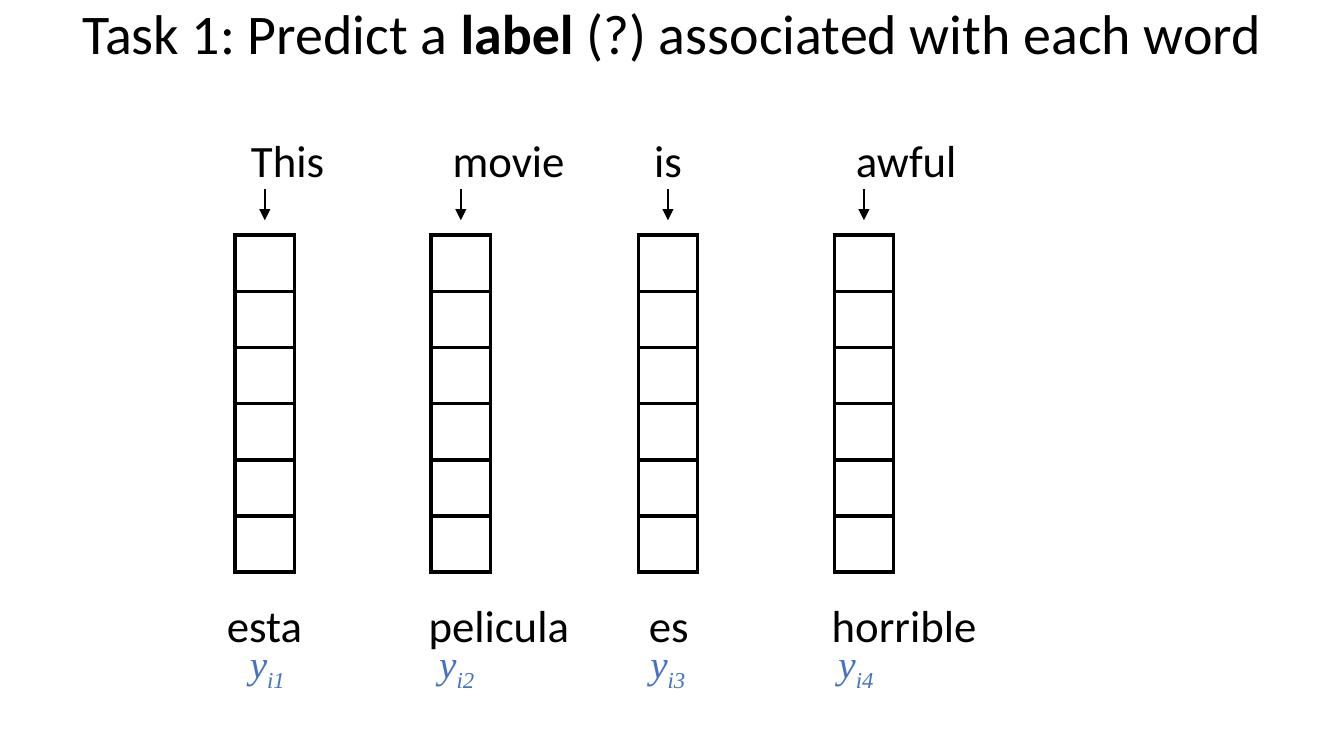
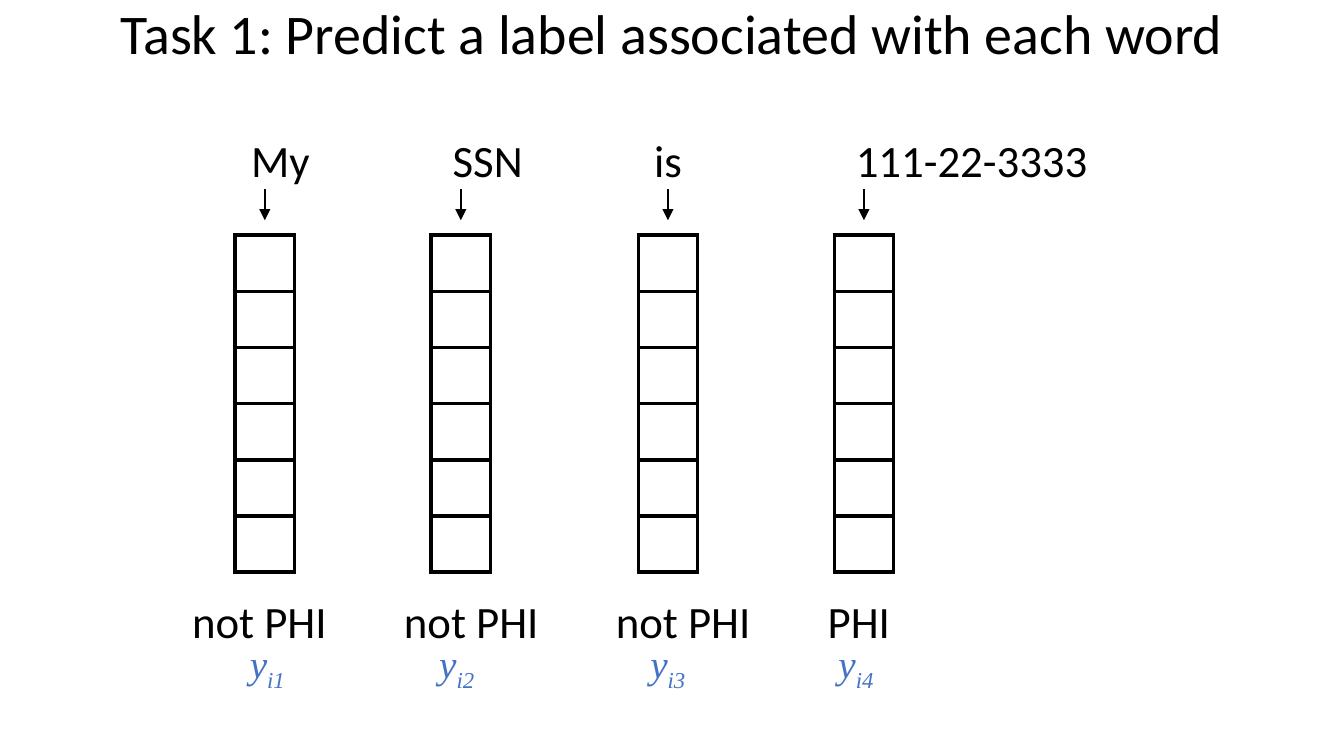
from lxml.etree import SubElement
from pptx import Presentation
from pptx.dml.color import RGBColor
from pptx.enum.shapes import MSO_CONNECTOR
from pptx.enum.text import PP_ALIGN
from pptx.oxml.ns import qn
from pptx.util import Pt

BLACK = RGBColor(0, 0, 0)
BLUE = RGBColor(0x44, 0x72, 0xC4)
BODY, MATH = "Calibri", "Times New Roman"

# Shared places, in points
COLS = [126, 231, 342, 447]
LABELS = [126.7, 228.2, 341.3, 442.1]
WIDE, HIGH, ROWS = 31.7, 30.1, 6
EVEN = [108, 216, 324]

# Title runs (text, bold), then rows of words: left, top, width, tab stops, words
SLIDES = [
    ([("Task 1: Predict a ", False), ("label ", True),
      ("(?) associated with each word", False)],
     [(127.4, 67.7, 396, EVEN, ["This", "movie", "is", "awful"]),
      (114.5, 316.8, 420, [108, 226, 324], ["esta", "pelicula", "es", "horrible"])]),
    ([("Task 1: Predict a label associated with each word", False)],
     [(127.4, 67.7, 467, EVEN, ["My", "SSN", "is", "111-22-3333"]),
      (95.8, 314.6, 398, [113.5, 227, 340.5],
       ["not PHI", "not PHI", "not PHI", "PHI"])]),
]


def add_text(slide, box, runs, size, font=BODY, color=BLACK):
    frame = slide.shapes.add_textbox(*map(Pt, box)).text_frame
    frame.word_wrap = True
    para = frame.paragraphs[0]
    para.font.size = Pt(size)
    para.font.name = font
    para.font.color.rgb = color
    for text in runs:
        para.add_run().text = text
    return para


def add_stack(slide, left):
    frame = slide.shapes.add_table(ROWS, 1, Pt(left), Pt(126), Pt(WIDE), Pt(HIGH * ROWS))
    table = frame.table
    table.first_row = table.horz_banding = False
    for row in table.rows:
        row.height = Pt(HIGH)
        cell = row.cells[0]
        props = cell._tc.get_or_add_tcPr()
        for side in ("a:lnL", "a:lnR", "a:lnT", "a:lnB"):
            edge = SubElement(props, qn(side), w=str(Pt(2.25)))
            fill = SubElement(edge, qn("a:solidFill"))
            SubElement(fill, qn("a:srgbClr"), val=str(BLACK))
        cell.fill.background()


prs = Presentation()
prs.slide_width, prs.slide_height = Pt(720), Pt(405)

for title, lines in SLIDES:
    slide = prs.slides.add_slide(prs.slide_layouts[6])

    # Title
    head = add_text(slide, (0, 0, 720, 67.5), [text for text, _ in title], 30)
    head.alignment = PP_ALIGN.CENTER
    head.line_spacing = 0.9
    for run, (_, bold) in zip(head.runs, title):
        run.font.bold = bold

    # Words above and below the vectors, set on tab stops
    for left, top, width, stops, words in lines:
        para = add_text(slide, (left, top, width, 36), ["\t".join(words)], 24)
        tabs = para._p.get_or_add_pPr()
        tabs.insert(0, tabs.makeelement(qn("a:tabLst"), {}))
        for stop in stops:
            SubElement(tabs[0], qn("a:tab"), pos=str(Pt(stop)), algn="l")

    for num, (left, spot) in enumerate(zip(COLS, LABELS), 1):
        # Word vector
        add_stack(slide, left)

        # Arrow from word to vector
        mid = Pt(left + WIDE / 2)
        arrow = slide.shapes.add_connector(MSO_CONNECTOR.STRAIGHT, mid, Pt(101.5), mid, Pt(118))
        arrow.line.color.rgb = BLACK
        arrow.line.width = Pt(1)
        SubElement(arrow.line._get_or_add_ln(), qn("a:tailEnd"), type="triangle")
        SubElement(arrow._element.spPr, qn("a:effectLst"))

        # Label symbol with subscript
        sign = add_text(slide, (spot, 339, 37.4, 32.4), ["y", f"i{num}"], 21, MATH, BLUE)
        sign.font.italic = True
        sign.runs[1].font._element.set("baseline", "-25000")

prs.save("out.pptx")
